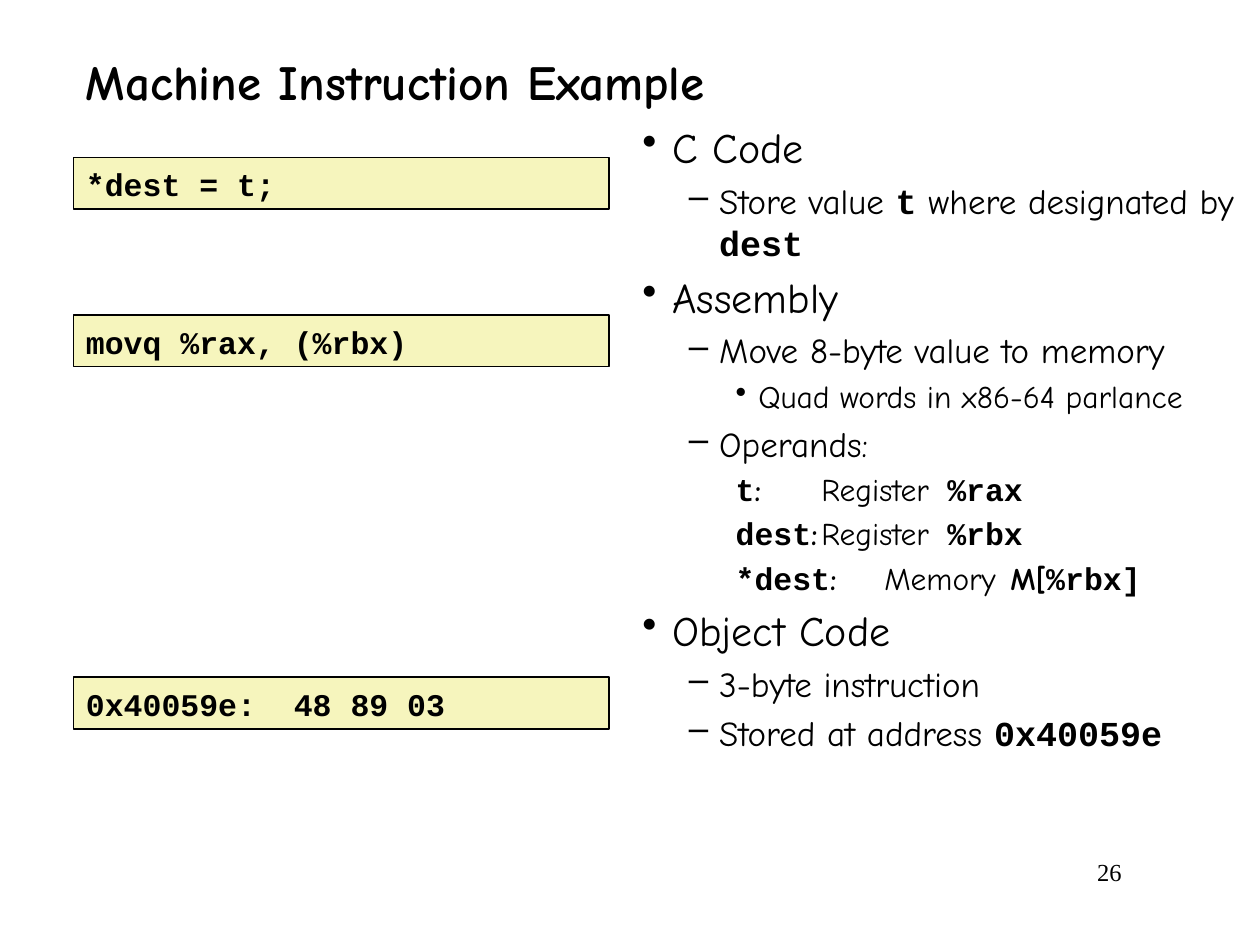
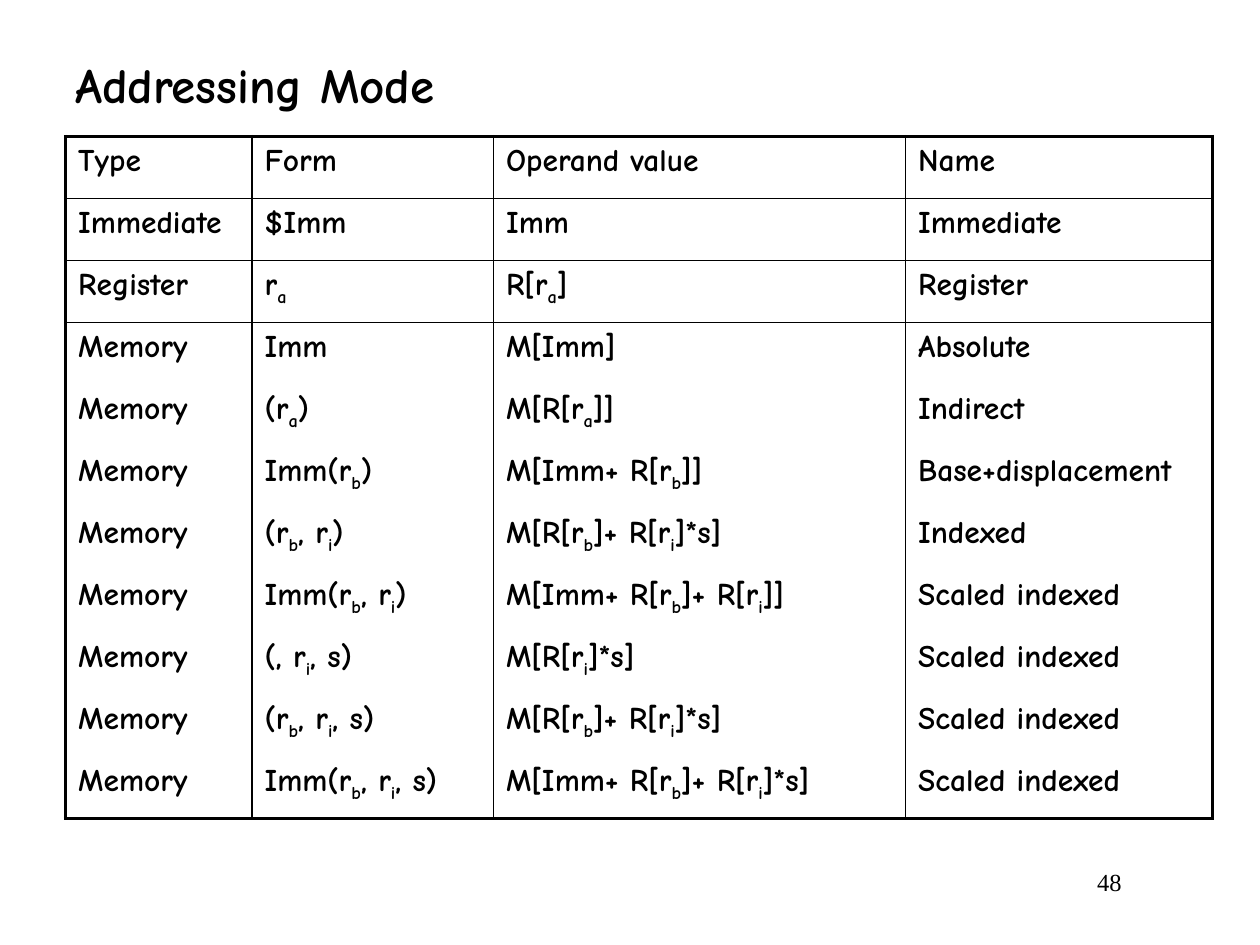
from lxml import etree
from pptx import Presentation
from pptx.dml.color import RGBColor
from pptx.enum.shapes import MSO_SHAPE
from pptx.enum.text import MSO_ANCHOR, PP_ALIGN
from pptx.oxml.ns import qn
from pptx.util import Inches, Pt

RECT = MSO_SHAPE.RECTANGLE
TOP, MIDDLE, BOTTOM = MSO_ANCHOR.TOP, MSO_ANCHOR.MIDDLE, MSO_ANCHOR.BOTTOM
LEFT, RIGHT = PP_ALIGN.LEFT, PP_ALIGN.RIGHT

SLIDE_W, SLIDE_H = Inches(10), Inches(7.5)
COLS = 120
UNIT = SLIDE_W / COLS

COLORS = {"ink": "000000", "code": "F6F5BD"}
SANS, MONO, SERIF = "Comic Neue", "Courier New", "Times New Roman"
PLAIN = {"name": SANS, "bold": False}
BOLD = {"name": SANS, "bold": True}
CODE = {"name": MONO, "bold": True}
TITLE = {**BOLD, "size": Pt(28)}
CELL = {**BOLD, "size": Pt(18)}
CODE_BOX = {**CODE, "size": Pt(18)}
NUMBER = {"name": SERIF, "size": Pt(14)}

LEVELS = [
    {"size": 24, "left": 0.24, "hang": 0.24, "bullet": "•"},
    {"size": 20, "left": 0.61, "hang": 0.24, "bullet": "–"},
    {"size": 18, "left": 0.92, "hang": 0.18, "bullet": "•"},
]
TABS = [1.75, 2.75]

CODE_LINES = [
    (15, "*dest = t;"),
    (30, "movq %rax, (%rbx)"),
    (64.5, "0x40059e:  48 89 03"),
]

OUTLINE = [
    (0, True, [("C Code", PLAIN)]),
    (1, True, [("Store value ", PLAIN), ("t", CODE),
               (" where designated by ", PLAIN), ("dest", CODE)]),
    (0, True, [("Assembly", PLAIN)]),
    (1, True, [("Move 8-byte value to memory", PLAIN)]),
    (2, True, [("Quad words in x86-64 parlance", PLAIN)]),
    (1, True, [("Operands:", PLAIN)]),
    (2, False, [("t", CODE), (":", BOLD), ("\tRegister\t", PLAIN), ("%rax", CODE)]),
    (2, False, [("dest", CODE), (":", BOLD), ("\tRegister\t", PLAIN), ("%rbx", CODE)]),
    (2, False, [("*dest", CODE), (":", BOLD), ("\tMemory\t", PLAIN),
                ("M[", BOLD), ("%rbx]", CODE)]),
    (0, True, [("Object Code", PLAIN)]),
    (1, True, [("3-byte instruction", PLAIN)]),
    (1, True, [("Stored at address ", PLAIN), ("0x40059e", CODE)]),
]

MODE_COLS = [17.75, 23, 39.25, 29.25]
MODE_HEIGHT = 65
RULED_ROWS = 3
THICK, THIN = 2.25, 1
MODES = [
    ("Type", "Form", "Operand value", "Name"),
    ("Immediate", "$Imm", "Imm", "Immediate"),
    ("Register", "r_a", "R[r_a]", "Register"),
    ("Memory", "Imm", "M[Imm]", "Absolute"),
    ("Memory", "(r_a)", "M[R[r_a]]", "Indirect"),
    ("Memory", "Imm(r_b)", "M[Imm+ R[r_b]]", "Base+displacement"),
    ("Memory", "(r_b, r_i)", "M[R[r_b]+ R[r_i]*s]", "Indexed"),
    ("Memory", "Imm(r_b, r_i)", "M[Imm+ R[r_b]+ R[r_i]]", "Scaled indexed"),
    ("Memory", "(, r_i, s)", "M[R[r_i]*s]", "Scaled indexed"),
    ("Memory", "(r_b, r_i, s)", "M[R[r_b]+ R[r_i]*s]", "Scaled indexed"),
    ("Memory", "Imm(r_b, r_i, s)", "M[Imm+ R[r_b]+ R[r_i]*s]", "Scaled indexed"),
]


def rgb(key):
    return RGBColor.from_string(COLORS[key])


def grid(*cells):
    return [round(c * UNIT) for c in cells]


def add_xml(parent, tag, **attrs):
    el = etree.SubElement(parent, qn(tag))
    for key, value in attrs.items():
        el.set(key, str(value))
    return el


def add_run(p, text, fmt):
    r = p.add_run()
    r.text = text
    for key, value in fmt.items():
        setattr(r.font, key, value)
    r.font.color.rgb = rgb("ink")
    return r


def add_space_before(p):
    pPr = p._p.get_or_add_pPr()
    add_xml(add_xml(pPr, "a:spcBef"), "a:spcPct", val=20000)
    return pPr


def add_text(s, at, text, fmt, anchor=TOP, align=LEFT):
    tf = s.shapes.add_textbox(*grid(*at)).text_frame
    tf.word_wrap = True
    tf.vertical_anchor = anchor
    p = tf.paragraphs[0]
    p.alignment = align
    add_run(p, text, fmt)


def add_frame(prs, title, title_at, number, number_row):
    s = prs.slides.add_slide(prs.slide_layouts[6])
    add_text(s, title_at, title, TITLE, anchor=MIDDLE)
    add_text(s, (91, number_row, 17, 5), number, NUMBER, align=RIGHT)
    return s


def add_code_box(s, row, text):
    sp = s.shapes.add_shape(RECT, *grid(7, row, 51, 4.92))
    sp.shadow.inherit = False
    sp.fill.solid()
    sp.fill.fore_color.rgb = rgb("code")
    sp.line.color.rgb = rgb("ink")
    sp.line.width = Pt(1)
    tf = sp.text_frame
    tf.vertical_anchor = BOTTOM
    p = tf.paragraphs[0]
    p.alignment = LEFT
    add_run(p, text, CODE_BOX)


def add_outline(s, at, items):
    tf = s.shapes.add_textbox(*grid(*at)).text_frame
    tf.word_wrap = True
    for i, (depth, bulleted, runs) in enumerate(items):
        level = LEVELS[depth]
        p = tf.add_paragraph() if i else tf.paragraphs[0]
        p.level = depth
        pPr = add_space_before(p)
        pPr.set("marL", str(Inches(level["left"])))
        pPr.set("indent", str(-Inches(level["hang"])))
        if bulleted:
            add_xml(pPr, "a:buChar", char=level["bullet"])
        else:
            add_xml(pPr, "a:buNone")
        tabs = add_xml(pPr, "a:tabLst")
        for pos in TABS:
            add_xml(tabs, "a:tab", pos=Inches(pos), algn="l")
        for text, fmt in runs:
            add_run(p, text, {**fmt, "size": Pt(level["size"])})


def add_border(cell, side, width):
    ln = add_xml(cell._tc.get_or_add_tcPr(), f"a:ln{side}", w=Pt(width))
    if width:
        add_xml(add_xml(ln, "a:solidFill"), "a:srgbClr", val=COLORS["ink"])
    else:
        add_xml(ln, "a:noFill")


def fill_cell(cell, text):
    p = cell.text_frame.paragraphs[0]
    add_space_before(p)
    first, *rest = text.split("_")
    add_run(p, first, CELL)
    for part in rest:
        r = add_run(p, part[0], CELL)
        r.font._element.set("baseline", "-25000")
        if part[1:]:
            add_run(p, part[1:], CELL)


def row_rule(edge, rows):
    if edge in (0, rows):
        return THICK
    return THIN if edge <= RULED_ROWS else 0


def add_mode_table(s, left, top):
    rows, cols = len(MODES), len(MODE_COLS)
    size = grid(left, top, sum(MODE_COLS), MODE_HEIGHT)
    table = s.shapes.add_table(rows, cols, *size).table
    table.first_row = table.horz_banding = False
    for column, width in zip(table.columns, grid(*MODE_COLS)):
        column.width = width
    for i, values in enumerate(MODES):
        for j, text in enumerate(values):
            cell = table.cell(i, j)
            fill_cell(cell, text)
            add_border(cell, "L", THIN if j else THICK)
            add_border(cell, "R", THIN if j < cols - 1 else THICK)
            add_border(cell, "T", row_rule(i, rows))
            add_border(cell, "B", row_rule(i + 1, rows))
            cell.fill.background()


def main():
    prs = Presentation()
    prs.slide_width, prs.slide_height = SLIDE_W, SLIDE_H

    s = add_frame(prs, "Machine Instruction Example", (7, 4, 95, 7.5), "26", 81)
    add_outline(s, (60, 11, 60, 76), OUTLINE)
    for row, text in CODE_LINES:
        add_code_box(s, row, text)

    s = add_frame(prs, "Addressing Mode", (6, 2, 106, 12), "48", 82)
    add_mode_table(s, 6.25, 13)

    prs.save("out.pptx")


if __name__ == "__main__":
    main()
